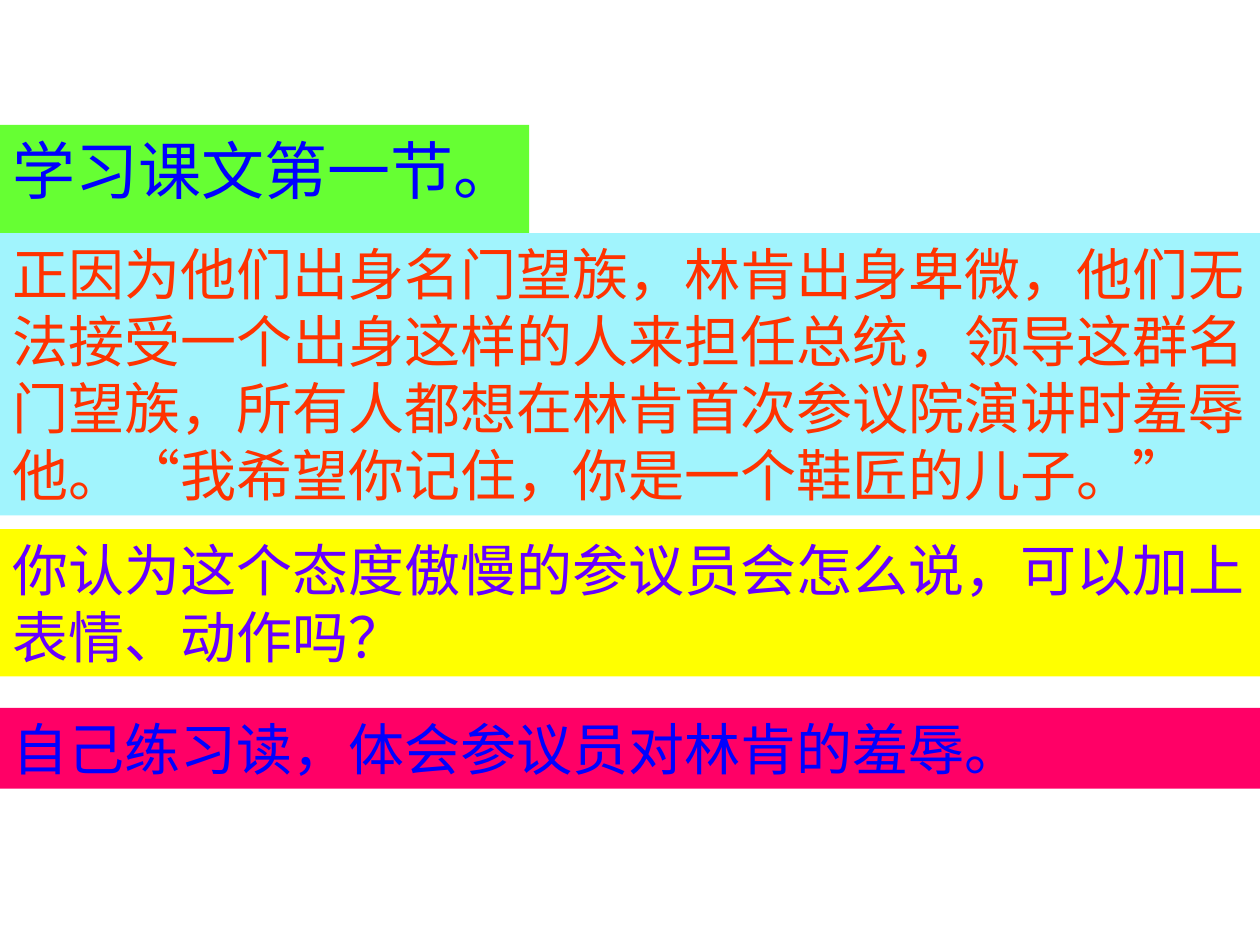
import lxml.etree
import pptx
import pptx.dml.color
import pptx.enum.lang
import pptx.enum.text
import pptx.oxml.ns
import pptx.util

Pt = pptx.util.Pt
FONT = "Noto Sans CJK SC"
COLORS = {
    "green": "66FF33",
    "cyan": "A1F4FD",
    "yellow": "FFFF00",
    "pink": "FF0066",
    "blue": "0000FF",
    "orange": "FF3300",
    "violet": "6600FF",
}


def color(name):
    return pptx.dml.color.RGBColor.from_string(COLORS[name])


deck = pptx.Presentation()
deck.slide_width, deck.slide_height = Pt(720), Pt(540)
page = deck.slides.add_slide(deck.slide_layouts[5])

bands = [
    (71.3, 302.4, 50.4, "green", "blue", 36, "学习课文第一节。"),
    (133.2, 720, 161.3, "cyan", "orange", 32,
     "正因为他们出身名门望族，林肯出身卑微，他们无法接受一个出身这样的人来担任总统，"
     "领导这群名门望族，所有人都想在林肯首次参议院演讲时羞辱他。"
     "“我希望你记住，你是一个鞋匠的儿子。”"),
    (302.4, 720, 84.2, "yellow", "violet", 32,
     "你认为这个态度傲慢的参议员会怎么说，可以加上表情、动作吗？"),
    (404.6, 720, 46.1, "pink", "blue", 32, "自己练习读，体会参议员对林肯的羞辱。"),
]

for index, (top, width, height, fill, ink, size, text) in enumerate(bands):
    if index == 0:
        box = page.shapes.title
        box.left, box.top, box.width, box.height = Pt(0), Pt(top), Pt(width), Pt(height)
    else:
        box = page.shapes.add_textbox(Pt(0), Pt(top), Pt(width), Pt(height))
    box.fill.solid()
    box.fill.fore_color.rgb = color(fill)

    frame = box.text_frame
    frame.word_wrap = index > 0
    frame.auto_size = pptx.enum.text.MSO_AUTO_SIZE.SHAPE_TO_FIT_TEXT
    frame.vertical_anchor = pptx.enum.text.MSO_ANCHOR.TOP
    para = frame.paragraphs[0]
    para.alignment = pptx.enum.text.PP_ALIGN.LEFT

    span = para.add_run()
    span.text = text
    span.font.size = Pt(size)
    span.font.color.rgb = color(ink)
    span.font.name = FONT
    span.font.language_id = pptx.enum.lang.MSO_LANGUAGE_ID.SIMPLIFIED_CHINESE
    east_asian = lxml.etree.SubElement(span.font._element, pptx.oxml.ns.qn("a:ea"))
    east_asian.set("typeface", FONT)

deck.save("out.pptx")
